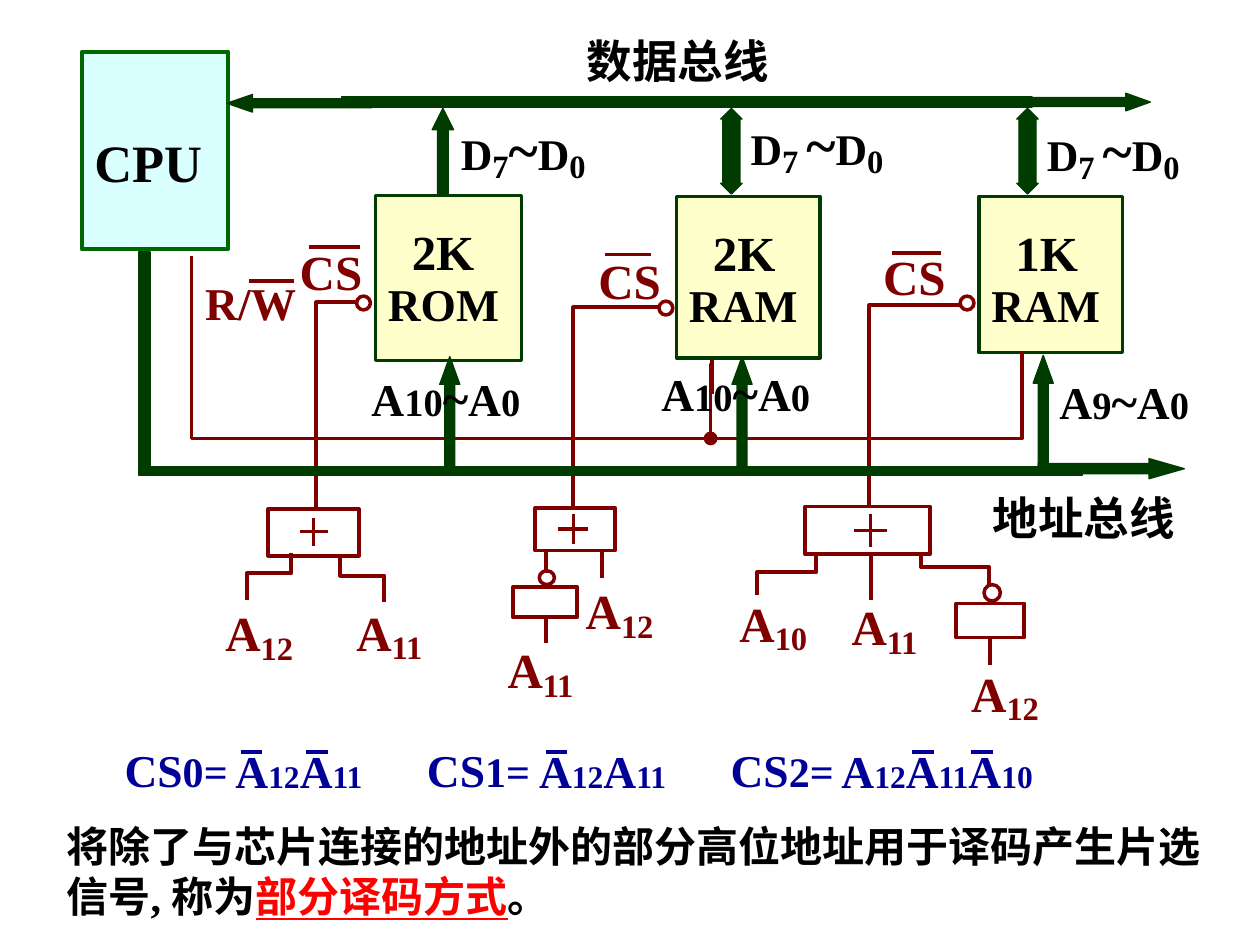
from pptx import Presentation
from pptx.dml.color import RGBColor
from pptx.enum.shapes import MSO_CONNECTOR, MSO_SHAPE
from pptx.enum.text import MSO_ANCHOR, PP_ALIGN
from pptx.oxml.ns import qn
from pptx.util import Cm, Pt
from lxml import etree

COLORS = {
    "cpu": "D9FFFF", "cpu_edge": "006600", "chip": "FFFFCC", "bus": "003C00",
    "wire": "800000", "formula": "000099", "ink": "000000", "accent": "FF0000",
}


def inch(value):
    return Cm(value * 2.54)


class Board:
    font = "Times New Roman"

    def __init__(self, slide):
        self.slide = slide
        self.shapes = slide.shapes

    def color(self, name):
        return RGBColor.from_string(COLORS[name])

    def stroke(self, item, color, width):
        item.line.color.rgb = self.color(color)
        item.line.width = Pt(width)

    def shape(self, kind, at, fill=None, line="wire", width=2.25, adj=()):
        item = self.shapes.add_shape(kind, *map(inch, at))
        item.shadow.inherit = False
        if fill:
            item.fill.solid()
            item.fill.fore_color.rgb = self.color(fill)
        else:
            item.fill.background()
        self.stroke(item, line, width)
        for index, value in enumerate(adj):
            item.adjustments[index] = value
        return item

    def box(self, *at, **style):
        return self.shape(MSO_SHAPE.RECTANGLE, at, **style)

    def circle(self, *at, **style):
        return self.shape(MSO_SHAPE.OVAL, at, **{"width": 2, **style})

    def bus(self, kind, *at, head=None):
        adj = (0.5, head) if head else ()
        return self.shape(kind, at, "bus", "bus", 0.75, adj)

    def line(self, x1, y1, x2, y2, color="wire", width=2):
        item = self.shapes.add_connector(MSO_CONNECTOR.STRAIGHT, *map(inch, (x1, y1, x2, y2)))
        self.stroke(item, color, width)
        etree.SubElement(item._element.spPr, qn("a:effectLst"))

    def wire(self, *points, width=2.25):
        spots = [(inch(x), inch(y)) for x, y in points]
        path = self.shapes.build_freeform(*spots[0], scale=1.0)
        path.add_line_segments(spots[1:], close=False)
        item = path.convert_to_shape()
        item.shadow.inherit = False
        item.fill.background()
        self.stroke(item, "wire", width)

    def run(self, paragraph, text, size, color, base=0, underline=False):
        run = paragraph.add_run()
        run.text = text
        run.font.name, run.font.size, run.font.bold = self.font, Pt(size), True
        run.font.color.rgb = self.color(color)
        if underline:
            run.font.underline = True
        if base:
            run._r.get_or_add_rPr().set("baseline", str(base * 1000))

    def text(self, at, runs, color="ink", wrap=True):
        frame = self.shapes.add_textbox(*map(inch, at)).text_frame
        frame.word_wrap = wrap
        for text, size, *rest in runs:
            style = {"color": color, **(rest[0] if rest else {})}
            self.run(frame.paragraphs[0], text, size, **style)

    def caption(self, item, top, lines):
        frame = item.text_frame
        frame.vertical_anchor = MSO_ANCHOR.TOP
        frame.margin_top = inch(top)
        for index, (text, size, spacing, indent) in enumerate(lines):
            paragraph = frame.add_paragraph() if index else frame.paragraphs[0]
            paragraph.alignment = PP_ALIGN.LEFT
            paragraph.line_spacing = spacing
            if indent:
                paragraph._p.get_or_add_pPr().set("marL", str(inch(indent)))
            self.run(paragraph, text, size, "ink")

    def address(self, x, y, number, base=-16, width=0.78, height=0.57):
        sub = {"base": base}
        self.text((x, y, width, height), [("A", 28), (number, 32, sub)], "wire", False)

    def or_gate(self, x, y, w, h, cross_x, cross_y, arm):
        self.box(x, y, w, h)
        self.line(cross_x, cross_y - arm, cross_x, cross_y + arm)
        self.line(cross_x - arm, cross_y, cross_x + arm, cross_y)

    def chip_select(self, circle_x, circle_y, wire_x, wire_y, bottom, label, bar):
        self.circle(circle_x, circle_y, 0.11, 0.11)
        self.wire((wire_x, bottom), (wire_x, wire_y), (circle_x, wire_y))
        self.text((*label, 0.91, 0.57), [("CS", 28)], "wire")
        self.line(bar[0], bar[2], bar[1], bar[2])


prs = Presentation()
prs.slide_width, prs.slide_height = inch(10), inch(7.5)
board = Board(prs.slides.add_slide(prs.slide_layouts[6]))

cpu = board.box(0.65, 0.41, 1.16, 1.57, fill="cpu", line="cpu_edge")
board.caption(cpu, 0.6, [("CPU", 30, 1.05, 0)])
board.text((7.78, 3.84, 1.81, 0.53), [("地址总线", 26)])

for x, y, w, h, size, kind in [
    (5.37, 1.56, 1.14, 1.28, "2K", "RAM"),
    (2.98, 1.55, 1.16, 1.31, "2K", "ROM"),
    (7.77, 1.56, 1.14, 1.24, "1K", "RAM"),
]:
    chip = board.box(x, y, w, h, fill="chip", line="bus", width=2)
    board.caption(chip, 0.09, [(size, 28, 1.25, 0.19), (kind, 26, 0.95, 0)])

board.text((4.56, 0.21, 1.87, 0.53), [("数据总线", 26)])
board.bus(MSO_SHAPE.UP_ARROW, 3.43, 0.86, 0.17, 0.68, head=1)
board.bus(MSO_SHAPE.RIGHT_ARROW, 7.98, 0.74, 1.15, 0.14, head=1.39)
board.bus(MSO_SHAPE.RECTANGLE, 2.71, 0.77, 5.48, 0.08)
board.bus(MSO_SHAPE.LEFT_ARROW, 1.8, 0.75, 1.15, 0.14, head=1.45)
for x in (5.72, 8.07):
    board.bus(MSO_SHAPE.UP_DOWN_ARROW, x, 0.86, 0.17, 0.68, head=0.8)
for x, y, seven in [(3.56, 0.86, "7"), (5.86, 0.82, "7 "), (8.21, 0.87, "7 ")]:
    sub = {"base": -14}
    data_range = [("D", 25), (seven, 32, sub), ("~", 32), ("D", 25), ("0", 32, sub)]
    board.text((x, y, 1.6, 0.63), data_range)

for select in [
    (2.83, 2.35, 2.51, 2.4, 4.05, (2.28, 1.87), (2.45, 2.86, 1.96)),
    (5.23, 2.39, 4.55, 2.44, 4.03, (4.65, 1.94), (4.8, 5.17, 2.02)),
    (7.62, 2.35, 6.9, 2.42, 4.03, (6.91, 1.91), (7.08, 7.47, 2.01)),
]:
    board.chip_select(*select)

board.or_gate(2.13, 4.04, 0.72, 0.37, 2.49, 4.22, 0.11)
board.wire((2.31, 4.39), (2.31, 4.55), (1.96, 4.55), (1.96, 4.76))
board.wire((2.7, 4.41), (2.7, 4.57), (3.05, 4.57), (3.05, 4.78))
board.address(1.69, 4.68, "12")
board.address(2.73, 4.68, "11", -14)

board.or_gate(4.25, 4.03, 0.63, 0.34, 4.55, 4.2, 0.12)
for x, top, bottom in [(4.33, 4.36, 4.55), (4.33, 4.9, 5.1), (4.78, 4.36, 4.59)]:
    board.line(x, top, x, bottom, width=2.25)
board.address(3.93, 4.97, "11", height=0.52)
board.address(4.55, 4.5, "12")
board.circle(4.28, 4.53, 0.12, 0.11)
board.box(4.07, 4.66, 0.51, 0.24)

board.or_gate(6.39, 4.02, 0.99, 0.38, 6.91, 4.21, 0.13)
board.wire((6.48, 4.4), (6.48, 4.54), (6.01, 4.54), (6.01, 4.72))
board.wire((7.31, 4.4), (7.31, 4.5), (7.85, 4.5), (7.85, 4.64))
for x, top, bottom in [(6.91, 4.38, 4.76), (7.86, 5.05, 5.28)]:
    board.line(x, top, x, bottom, width=2.25)
board.address(5.77, 4.61, "10", -14)
board.address(6.66, 4.63, "11")
board.address(7.61, 5.16, "12", -14)
board.circle(7.81, 4.64, 0.13, 0.13)
board.box(7.59, 4.79, 0.54, 0.27)

for x, number, term_x, term_w, bits, bars in [
    (0.89, "0=", 1.77, 1.57, ("12", "11"), (1.91, 2.43)),
    (3.29, "1=", 4.18, 1.57, ("12", "11"), (4.33,)),
    (5.7, "2=", 6.58, 2.14, ("12", "11", "10"), (7.24, 7.71)),
]:
    board.text((x, 5.84, 1.17, 0.53), [("CS", 26), (number, 24)], "formula")
    term = [run for bit in bits for run in (("A", 26), (bit, 18))]
    board.text((term_x, 5.85, term_w, 0.53), term, "formula")
    for bar in bars:
        board.line(bar, 5.97, bar + 0.17, 5.97, "formula")

board.wire((1.52, 2.03), (1.52, 3.48), (5.64, 3.48), (5.64, 2.89),
           (5.64, 3.48), (8.11, 3.48), (8.11, 2.92), width=2)
board.circle(5.59, 3.43, 0.1, 0.1, fill="wire", width=0.75)
board.text((1.53, 2.13, 0.92, 0.53), [("R/W", 26)], "wire", False)
board.line(1.98, 2.23, 2.33, 2.23)
board.line(5.65, 3.13, 5.65, 2.85)
board.line(8.11, 3.07, 8.11, 2.79)

board.bus(MSO_SHAPE.RECTANGLE, 1.1, 2, 0.09, 1.75)
for x, y, h in [(3.49, 2.83, 0.89), (8.2, 2.82, 0.91), (5.81, 2.83, 0.88)]:
    board.bus(MSO_SHAPE.UP_ARROW, x, y, 0.16, h, head=1.38)
board.bus(MSO_SHAPE.RIGHT_ARROW, 8.24, 3.64, 1.16, 0.16, head=1.75)
board.bus(MSO_SHAPE.RECTANGLE, 1.1, 3.7, 7.49, 0.07)
for x, y, w, high in [(2.85, 2.87, 1.93, "10"), (5.15, 2.83, 1.95, "10"), (8.31, 2.89, 1.55, "9")]:
    board.text((x, y, w, 0.57), [("A", 26), (high, 22), ("~", 28), ("A", 26), ("0", 22)])

board.text((0.43, 6.46, 9.29, 0.91), [
    ("将除了与芯片连接的地址外的部分高位地址用于译码产生片选信号, 称为", 24),
    ("部分译码方式", 24, {"color": "accent", "underline": True}),
    ("。", 24),
])

prs.save("out.pptx")
